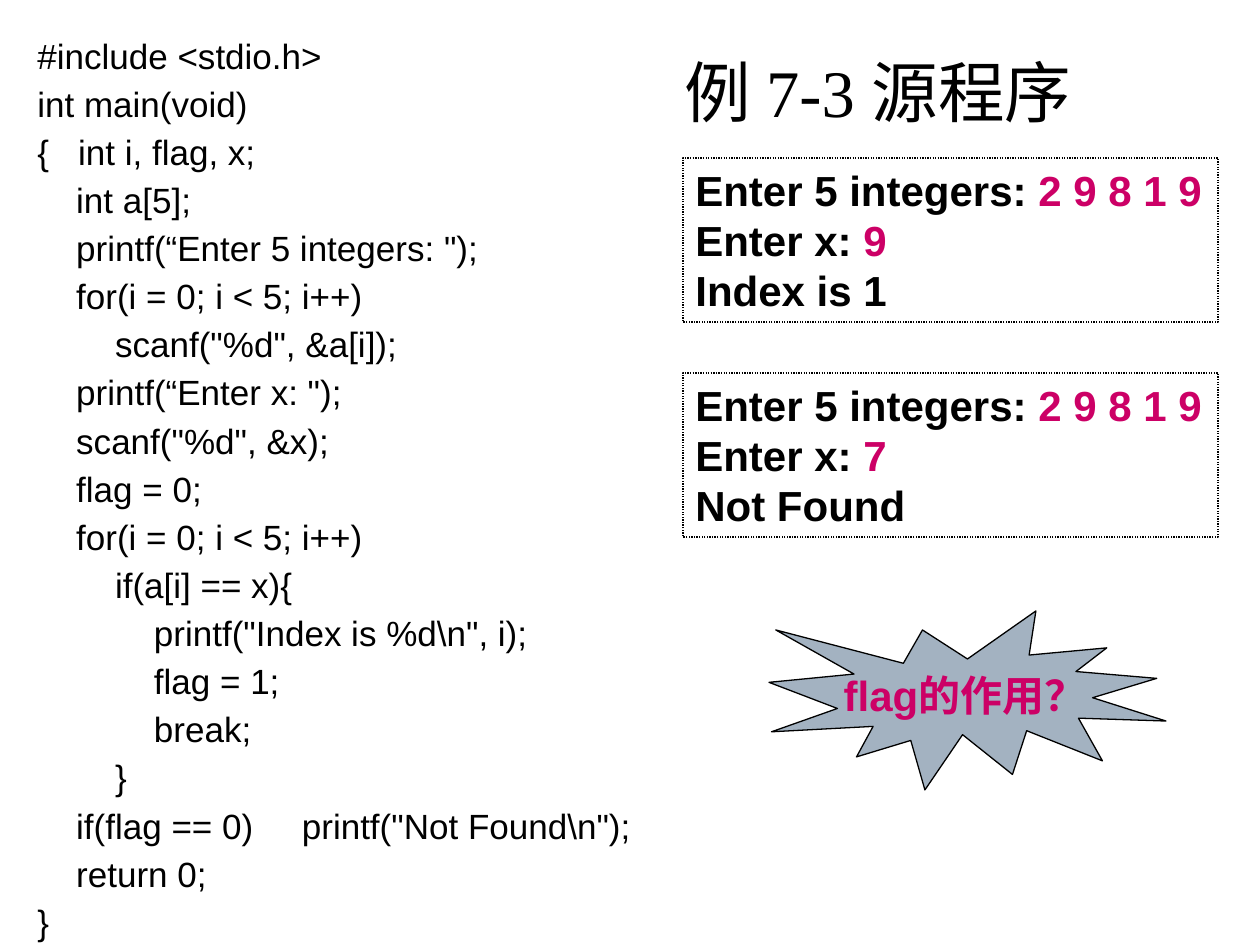
from pptx import Presentation
from pptx.dml.color import RGBColor
from pptx.enum.dml import MSO_LINE
from pptx.enum.shapes import MSO_SHAPE
from pptx.enum.text import MSO_ANCHOR, MSO_AUTO_SIZE, PP_ALIGN
from pptx.util import Emu, Pt

PX = 914400 / 126
LEFT, CENTER, JUSTIFY = PP_ALIGN.LEFT, PP_ALIGN.CENTER, PP_ALIGN.JUSTIFY
TOP, MIDDLE, BOTTOM = MSO_ANCHOR.TOP, MSO_ANCHOR.MIDDLE, MSO_ANCHOR.BOTTOM
NO_FIT = MSO_AUTO_SIZE.NONE
RECTANGLE, BURST = MSO_SHAPE.RECTANGLE, MSO_SHAPE.EXPLOSION1
DOTTED = MSO_LINE.ROUND_DOT

BLACK, PINK, SLATE = "000000", "CC0066", "A3B2C1"

SOURCE_CODE = r'''#include <stdio.h>
int main(void)
{   int i, flag, x;
    int a[5];
    printf(“Enter 5 integers: ");
    for(i = 0; i < 5; i++)
        scanf("%d", &a[i]);
    printf(“Enter x: ");
    scanf("%d", &x);
    flag = 0;
    for(i = 0; i < 5; i++)
        if(a[i] == x){
            printf("Index is %d\n", i);
            flag = 1;
            break;
        }
    if(flag == 0)     printf("Not Found\n");
    return 0;
}'''


def px(length):
    return Emu(round(length * PX))


def color(hex_text):
    return RGBColor.from_string(hex_text)


def apply(target, values):
    for name, value in values.items():
        setattr(target, name, value)


class SlideBuilder:
    """Holds the text styles and the slide being built."""

    title_font = {"name": "Times New Roman", "size": Pt(38), "bold": False}
    code_font = {"name": "Arial", "size": Pt(20), "bold": False}
    strong_font = {"name": "Arial", "size": Pt(24), "bold": True}

    def __init__(self, slide):
        self.slide = slide

    def fill_text(self, frame, lines, font, frame_format, align=LEFT, gap=0):
        """Fill a frame; each line is a list of (text, colour) pairs."""
        apply(frame, {"auto_size": NO_FIT, "word_wrap": True, **frame_format})
        for number, line in enumerate(lines):
            paragraph = frame.paragraphs[0] if number == 0 else frame.add_paragraph()
            apply(paragraph, {"alignment": align,
                              "space_before": Pt(gap if number else 0)})
            for text, ink in line:
                run = paragraph.add_run()
                run.text = text
                apply(run.font, font)
                run.font.color.rgb = color(ink)

    def title(self, text, left, top, width, height):
        heading = self.slide.shapes.title
        apply(heading, {"left": px(left), "top": px(top),
                        "width": px(width), "height": px(height)})
        self.fill_text(heading.text_frame, [[(text, BLACK)]], self.title_font,
                       {"vertical_anchor": BOTTOM})

    def code(self, listing, left, top, width, height):
        box = self.slide.shapes.add_textbox(px(left), px(top), px(width), px(height))
        lines = [[(line, BLACK)] for line in listing.split("\n")]
        self.fill_text(box.text_frame, lines, self.code_font,
                       {"vertical_anchor": TOP}, gap=3.5)

    def outlined(self, preset, left, top, width, height):
        shape = self.slide.shapes.add_shape(
            preset, px(left), px(top), px(width), px(height))
        shape.shadow.inherit = False
        shape.line.color.rgb = color(BLACK)
        shape.line.width = Pt(0.75)
        return shape

    def sample_run(self, lines, left, top, width, height):
        console = self.outlined(RECTANGLE, left, top, width, height)
        console.fill.background()
        console.line.dash_style = DOTTED
        self.fill_text(console.text_frame, lines, self.strong_font,
                       {"vertical_anchor": TOP}, JUSTIFY)

    def burst(self, text, left, top, width, height):
        question = self.outlined(BURST, left, top, width, height)
        question.fill.solid()
        question.fill.fore_color.rgb = color(SLATE)
        self.fill_text(question.text_frame, [[(text, PINK)]], self.strong_font,
                       {"vertical_anchor": MIDDLE, "word_wrap": False}, CENTER)


def main():
    deck = Presentation()
    deck.slide_width, deck.slide_height = px(1260), px(945)
    builder = SlideBuilder(deck.slides.add_slide(deck.slide_layouts[5]))

    # Heading and program listing
    builder.title("例 7-3 源程序", 672, 21, 557, 116)
    builder.code(SOURCE_CODE, 25, 28, 794, 893)

    # Sample runs: typed input is pink
    runs = [("9", "Index is 1"), ("7", "Not Found")]
    for number, (wanted, result) in enumerate(runs):
        lines = [
            [("Enter 5 integers: ", BLACK), ("2 9 8 1 9", PINK)],
            [("Enter x: ", BLACK), (wanted, PINK)],
            [(result, BLACK)],
        ]
        builder.sample_run(lines, 683, 158 + 215 * number, 535, 164)

    # Question for the class
    builder.burst("flag的作用？", 769, 611, 397, 179)

    deck.save("out.pptx")


if __name__ == "__main__":
    main()
